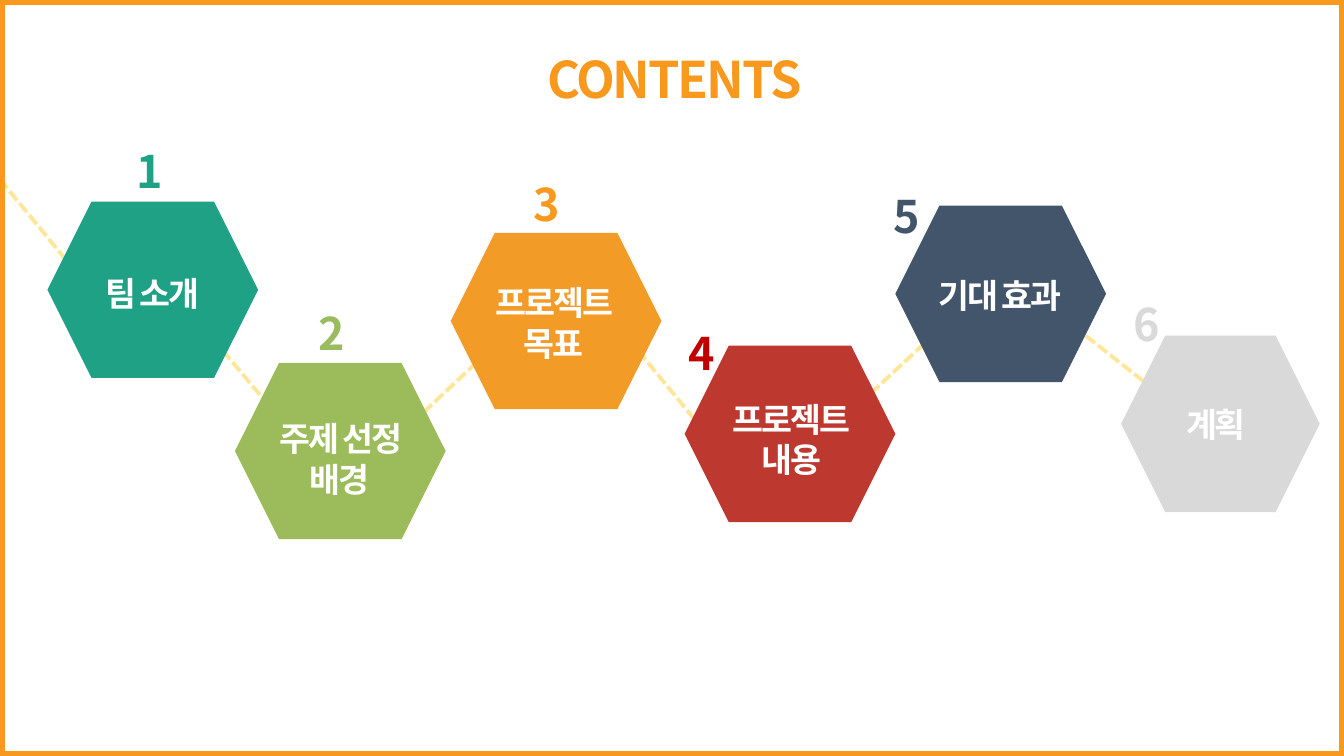
from lxml import etree
from pptx import Presentation
from pptx.dml.color import RGBColor
from pptx.enum.dml import MSO_LINE
from pptx.enum.shapes import MSO_CONNECTOR, MSO_SHAPE
from pptx.enum.text import PP_ALIGN
from pptx.oxml.ns import qn
from pptx.util import Inches, Pt

FONT = "Noto Sans CJK KR"
COLORS = {
    "orange": "F8981D", "path": "FFE699", "white": "FFFFFF",
    "teal": "1FA185", "green": "9CBC5B", "light_green": "9ABC5E",
    "amber": "F29B27", "brick": "BD382F", "red": "C00000",
    "navy": "43556B", "gray": "D9D9D9",
}
LINKS = [
    (2.11, 3.36, 2.9, 4.3), (4.84, 3.49, 3.82, 4.45), (9.39, 3.2, 8.36, 4.16),
    (6.33, 3.48, 7.11, 4.43), (0, 1.78, 0.95, 2.94), (11.58, 3.97, 10.73, 3.3),
]
# hexagon (left, top, width), fill, label, label (left, top, height),
# number colour, number (left, top)
STEPS = [
    ((0.47, 2, 2.09), "teal", "팀 소개", (0.71, 2.66, 0.49), "teal", (1.18, 1.38)),
    ((2.33, 3.6, 2.09), "green", "주제 선정 배경", (2.57, 4.1, 0.9), "light_green", (2.99, 2.98)),
    ((4.47, 2.31, 2.09), "amber", "프로젝트 목표", (4.69, 2.75, 0.9), "orange", (5.12, 1.7)),
    ((6.79, 3.43, 2.09), "brick", "프로젝트\n내용", (7.05, 3.91, 0.9), "red", (6.66, 3.18)),
    ((8.88, 2.04, 2.09), "navy", "기대 효과", (9.12, 2.68, 0.49), "navy", (8.69, 1.82)),
    ((11.12, 3.33, 1.97), "gray", "계획", (11.26, 3.96, 0.49), "gray", (11.07, 2.89)),
]


def rgb(name):
    return RGBColor.from_string(COLORS[name])


def add_text(slide, text, left, top, width, height, size, color):
    sp = slide.shapes.add_textbox(Inches(left), Inches(top), Inches(width), Inches(height))
    tf = sp.text_frame
    tf.word_wrap = True
    tf.text = text
    for p in tf.paragraphs:
        p.alignment = PP_ALIGN.CENTER
        for r in p.runs:
            r.font.size = Pt(size)
            r.font.bold = True
            r.font.color.rgb = rgb(color)
            r.font.name = FONT
            rPr = r.font._element
            rPr.set("spc", "-150")
            etree.SubElement(rPr, qn("a:ea"), typeface=FONT)


def add_link(slide, x1, y1, x2, y2):
    line = slide.shapes.add_connector(
        MSO_CONNECTOR.STRAIGHT, Inches(x1), Inches(y1), Inches(x2), Inches(y2))
    line.line.color.rgb = rgb("path")
    line.line.width = Pt(2.75)
    line.line.dash_style = MSO_LINE.SQUARE_DOT
    etree.SubElement(line._element.spPr, qn("a:effectLst"))


def add_frame(slide):
    sp = slide.shapes.add_shape(
        MSO_SHAPE.RECTANGLE, Inches(0.02), Inches(0.02), Inches(13.29), Inches(7.46))
    sp.shadow.inherit = False
    sp.fill.background()
    sp.line.color.rgb = rgb("orange")
    sp.line.width = Pt(3.75)


def add_hexagon(slide, left, top, width, color):
    sp = slide.shapes.add_shape(
        MSO_SHAPE.HEXAGON, Inches(left), Inches(top), Inches(width), Inches(1.75))
    sp.adjustments[0] = 0.25
    sp.shadow.inherit = False
    sp.fill.solid()
    sp.fill.fore_color.rgb = rgb(color)
    sp.line.fill.background()


def add_step(slide, number, hexagon, fill, label, label_box, number_color, number_at):
    add_hexagon(slide, *hexagon, fill)
    left, top, height = label_box
    add_text(slide, label, left, top, 1.6, height, 24, "white")
    add_text(slide, str(number), *number_at, 0.61, 0.64, 32, number_color)


def main():
    prs = Presentation()
    prs.slide_width, prs.slide_height = Inches(13.33), Inches(7.5)
    slide = prs.slides.add_slide(prs.slide_layouts[6])
    for link in LINKS:
        add_link(slide, *link)
    add_text(slide, "CONTENTS", 5.12, 0.43, 3.14, 0.71, 36, "orange")
    add_frame(slide)
    for number, step in enumerate(STEPS, 1):
        add_step(slide, number, *step)
    prs.save("out.pptx")


if __name__ == "__main__":
    main()
